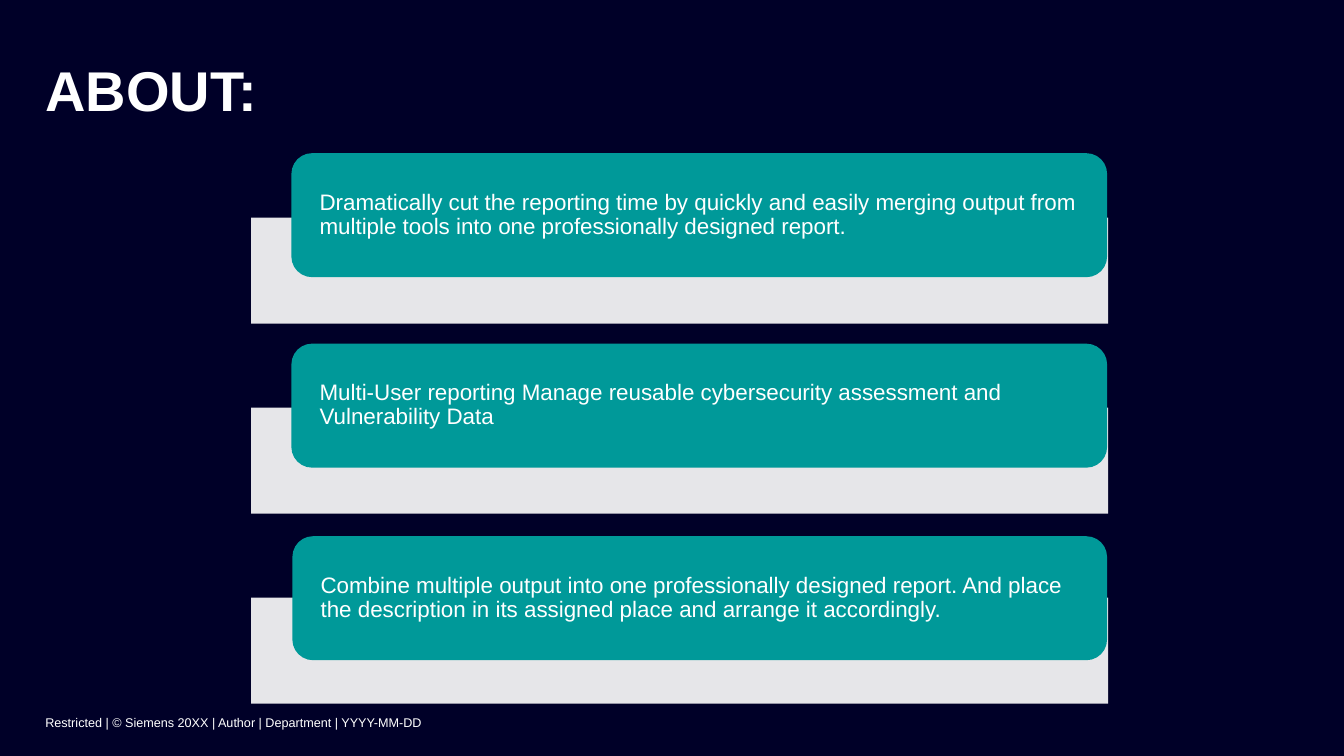
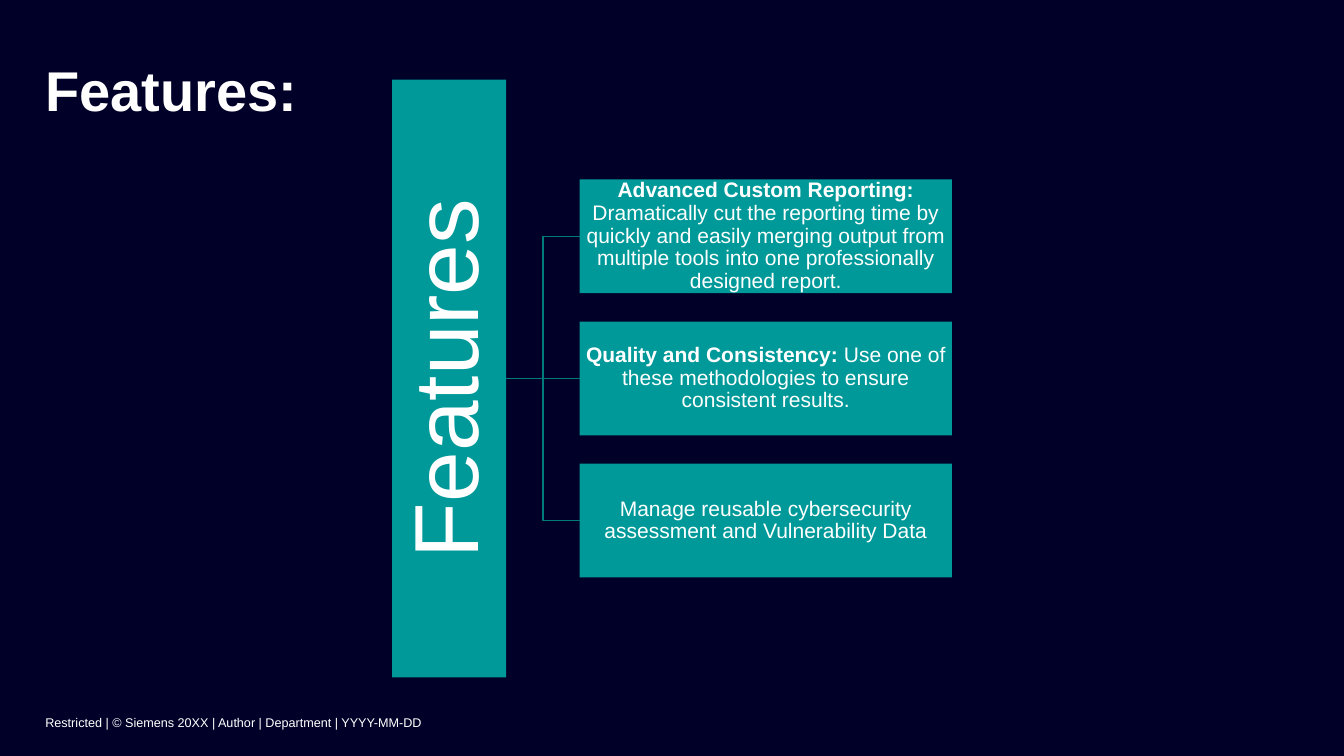
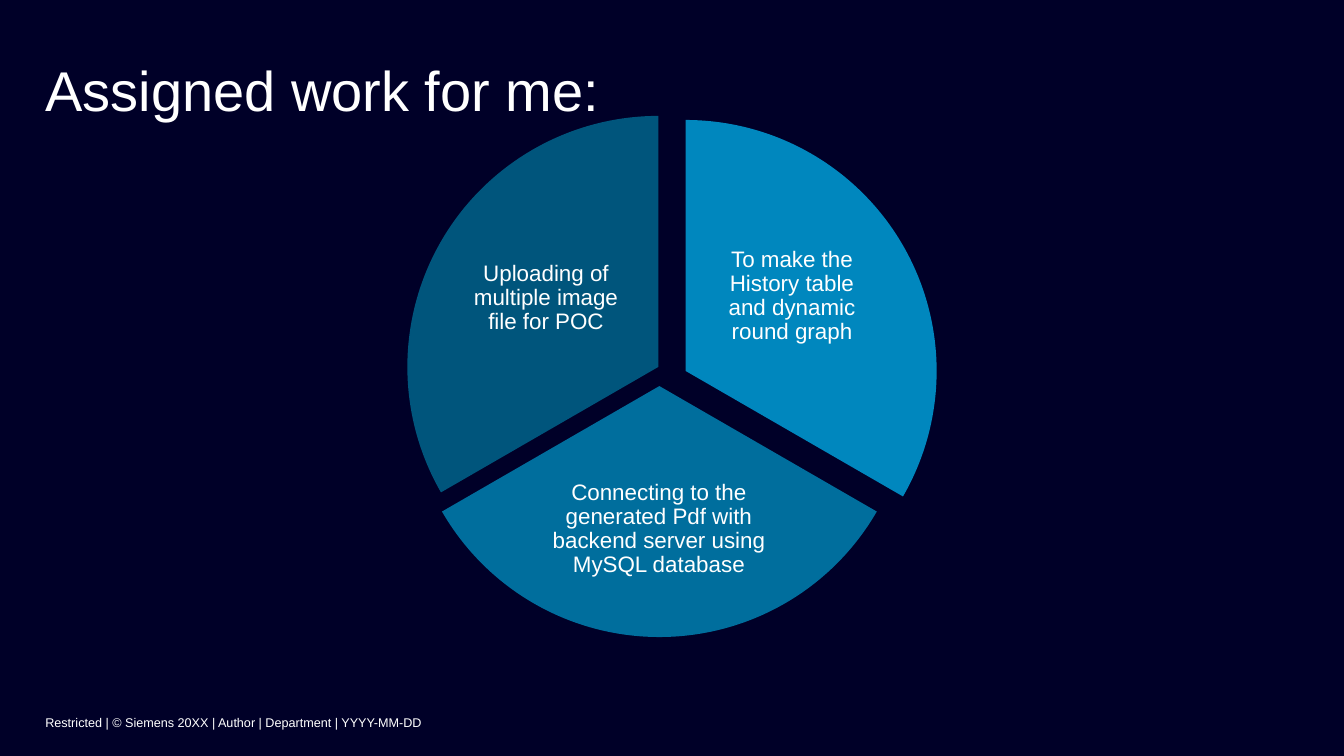
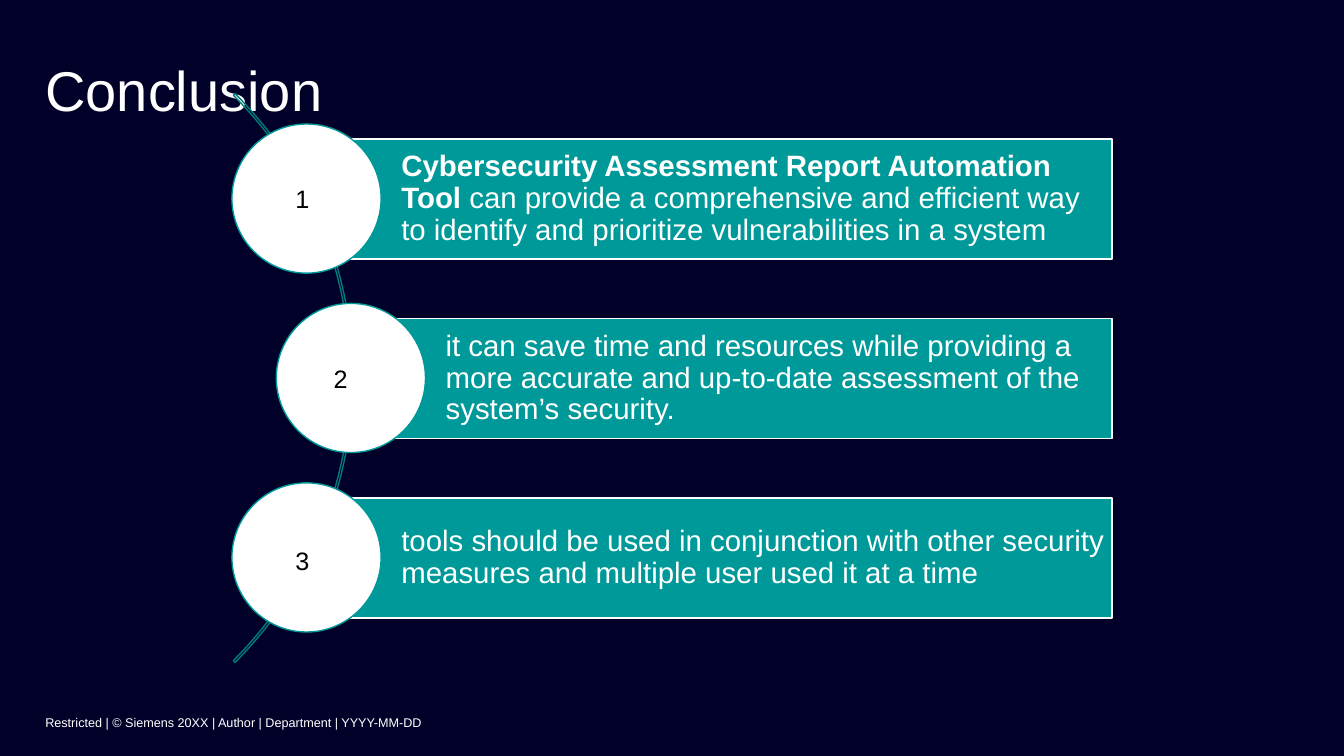
from dataclasses import dataclass

from lxml import etree
from pptx import Presentation
from pptx.dml.color import RGBColor as RGB
from pptx.enum.shapes import MSO_CONNECTOR as CONN, MSO_SHAPE as SHAPE
from pptx.enum.text import MSO_ANCHOR as ANCHOR, MSO_AUTO_SIZE as AUTO, PP_ALIGN as ALIGN
from pptx.oxml.ns import qn
from pptx.util import Inches, Pt


@dataclass(frozen=True)
class Theme:
    font: str = "Arial"
    night: RGB = RGB(0x00, 0x00, 0x28)
    white: RGB = RGB(0xFF, 0xFF, 0xFF)
    black: RGB = RGB(0x00, 0x00, 0x00)
    teal: RGB = RGB(0x00, 0x99, 0x99)
    dark_teal: RGB = RGB(0x00, 0x7B, 0x7B)
    blues: tuple = (RGB(0x00, 0x87, 0xBE), RGB(0x00, 0x6E, 0x9D), RGB(0x00, 0x55, 0x7C))
    title: int = 40
    banner: int = 65
    conclusion: int = 21
    number: int = 18
    body: int = 16
    feature: int = 15
    footer: int = 9


T = Theme()


def add_box(s, kind, at, fill=None, line=None):
    sp = s.shapes.add_shape(kind, *map(Inches, at))
    sp.shadow.inherit = False
    if fill is None:
        sp.fill.background()
    else:
        sp.fill.solid()
        sp.fill.fore_color.rgb = fill
    if line is None:
        sp.line.fill.background()
    else:
        sp.line.color.rgb = line
        sp.line.width = Pt(1)
    return sp


def set_text(sp, text, size, lead="", color=T.white, bold=False, align=ALIGN.LEFT,
             anchor=ANCHOR.MIDDLE, insets=(0, 0, 0, 0), spacing=0.9):
    """Write one paragraph, opening with a bold lead; insets run left, top, right, bottom."""
    tf = sp.text_frame
    tf.word_wrap = True
    tf.auto_size = AUTO.NONE
    tf.vertical_anchor = anchor
    tf.margin_left, tf.margin_top, tf.margin_right, tf.margin_bottom = map(Inches, insets)
    p = tf.paragraphs[0]
    p.alignment = align
    p.line_spacing = spacing
    p.font.name = T.font
    p.font.size = Pt(size)
    p.font.color.rgb = color
    p.font.bold = bold
    if lead:
        r = p.add_run()
        r.text = lead
        r.font.bold = True
    p.add_run().text = text


prs = Presentation()
prs.slide_width, prs.slide_height = Inches(13.33), Inches(7.5)
fill = prs.slide_master.background.fill
fill.solid()
fill.fore_color.rgb = T.night
layout = prs.slide_layouts[5]
title = layout.placeholders[0]
title.left, title.top, title.width, title.height = map(Inches, (0.45, 0.48, 10.16, 1.35))

# Titles and footers
slides = []
for heading, bold in (("ABOUT:", True), ("Features:", True),
                      ("Assigned work for me:", False), ("Conclusion", False)):
    s = prs.slides.add_slide(layout)
    set_text(s.shapes.title, heading, T.title, bold=bold, anchor=ANCHOR.TOP,
             insets=(0, 0.07, 0, 0), spacing=1.0)
    footer = s.shapes.add_textbox(*map(Inches, (0.45, 6.9, 10.16, 0.6)))
    set_text(footer, "Restricted | © Siemens 20XX | Author | Department | YYYY-MM-DD",
             T.footer, insets=(0, 0, 0, 0.07), spacing=1.0)
    slides.append(s)
about, features, work, conclusion = slides

# About: cards on translucent trays
cards = (
    (2.89, 1.52, "Dramatically cut the reporting time by quickly and easily merging output "
                 "from multiple tools into one professionally designed report."),
    (2.89, 3.41, "Multi-User reporting Manage reusable cybersecurity assessment and "
                 "Vulnerability Data"),
    (2.9, 5.32, "Combine multiple output into one professionally designed report. And place "
                "the description in its assigned place and arrange it accordingly."),
)
for i, (left, top, text) in enumerate(cards):
    tray = add_box(about, SHAPE.RECTANGLE, (2.49, 2.16 + i * 1.885, 8.5, 1.05), T.white)
    color = tray.fill._xPr.find(qn("a:solidFill"))[0]
    etree.SubElement(color, qn("a:alpha"), val="90000")
    card = add_box(about, SHAPE.ROUNDED_RECTANGLE, (left, top, 10.98 - left, 1.23), T.teal)
    set_text(card, text, T.body, insets=(0.22, 0, 0.22, 0))

# Features: a vertical banner branching into three boxes
banner = add_box(features, SHAPE.RECTANGLE, (3.89, 0.79, 1.13, 5.93), T.teal)
set_text(banner, "Features", T.banner, align=ALIGN.CENTER, insets=(0.05,) * 4)
banner.text_frame._txBody.bodyPr.set("vert", "vert270")
branches = (
    ("Advanced Custom Reporting:",
     " Dramatically cut the reporting time by quickly and easily merging output from "
     "multiple tools into one professionally designed report.", CONN.ELBOW),
    ("Quality and Consistency:",
     " Use one of these methodologies to ensure consistent results.", CONN.STRAIGHT),
    ("", "Manage reusable cybersecurity assessment and Vulnerability Data", CONN.ELBOW),
)
for i, (lead, text, kind) in enumerate(branches):
    box = add_box(features, SHAPE.RECTANGLE, (5.75, 1.78 + i * 1.41, 3.69, 1.13), T.teal)
    set_text(box, text, T.feature, lead=lead, align=ALIGN.CENTER, insets=(0.01,) * 4)
    link = features.shapes.add_connector(kind, 0, 0, 0, 0)
    link.begin_connect(banner, 3)
    link.end_connect(box, 1)
    link.line.color.rgb = T.dark_teal
    link.line.width = Pt(1)
    etree.SubElement(link._element.spPr, qn("a:effectLst"))

# Assigned work: three pie wedges, angles in degrees clockwise from the right
wedges = (
    ((4.31, 1.19), 270, 30, (7.01, 2.11, 1.69, 1.66),
     "To make the History table and dynamic round graph"),
    ((4.05, 1.34), 30, 150, (5.41, 4.48, 2.25, 1.54),
     "Connecting to the generated Pdf with backend server using MySQL database"),
    ((4.04, 1.15), 150, 270, (4.57, 2.13, 1.69, 1.66),
     "Uploading of multiple image file for POC"),
)
DEGREE = 0.6  # one degree in adjustment units
for (corner, start, end, label_at, text), blue in zip(wedges, T.blues):
    wedge = add_box(work, SHAPE.PIE, (*corner, 4.98, 4.98), blue)
    wedge.adjustments[0] = start * DEGREE
    wedge.adjustments[1] = end * DEGREE
    label = work.shapes.add_textbox(*map(Inches, label_at))
    set_text(label, text, T.body, align=ALIGN.CENTER, insets=(0.02,) * 4)

# Conclusion: numbered bars along an arc
arc = add_box(conclusion, SHAPE.BLOCK_ARC, (-4.48, -0.24, 7.98, 7.98), line=T.dark_teal)
for i, value in enumerate((315 * DEGREE, 45 * DEGREE, 0.003)):
    arc.adjustments[i] = value
points = (
    (3.04, (2.93, 1.82), "Cybersecurity Assessment Report Automation Tool ",
     "can provide a comprehensive and efficient way to identify and prioritize "
     "vulnerabilities in a system"),
    (3.48, (3.31, 3.6), "",
     "it can save time and resources while providing a more accurate and up-to-date "
     "assessment of the system’s security."),
    (3.04, (2.93, 5.41), "",
     "tools should be used in conjunction with other security measures and multiple "
     "user used it at a time"),
)
for i, (left, number_at, lead, text) in enumerate(points):
    top = 1.38 + i * 1.78
    bar = add_box(conclusion, SHAPE.RECTANGLE, (left, top, 11.03 - left, 1.19), T.teal, T.white)
    set_text(bar, text, T.conclusion, lead=lead, insets=(0.94, 0.06, 0.06, 0.06))
    add_box(conclusion, SHAPE.OVAL, (left - 0.74, top - 0.15, 1.48, 1.48), T.white, T.teal)
    number = conclusion.shapes.add_textbox(*map(Inches, (*number_at, 0.77, 0.3)))
    set_text(number, str(i + 1), T.number, color=T.black, anchor=ANCHOR.TOP, spacing=1.0)

prs.save("out.pptx")
